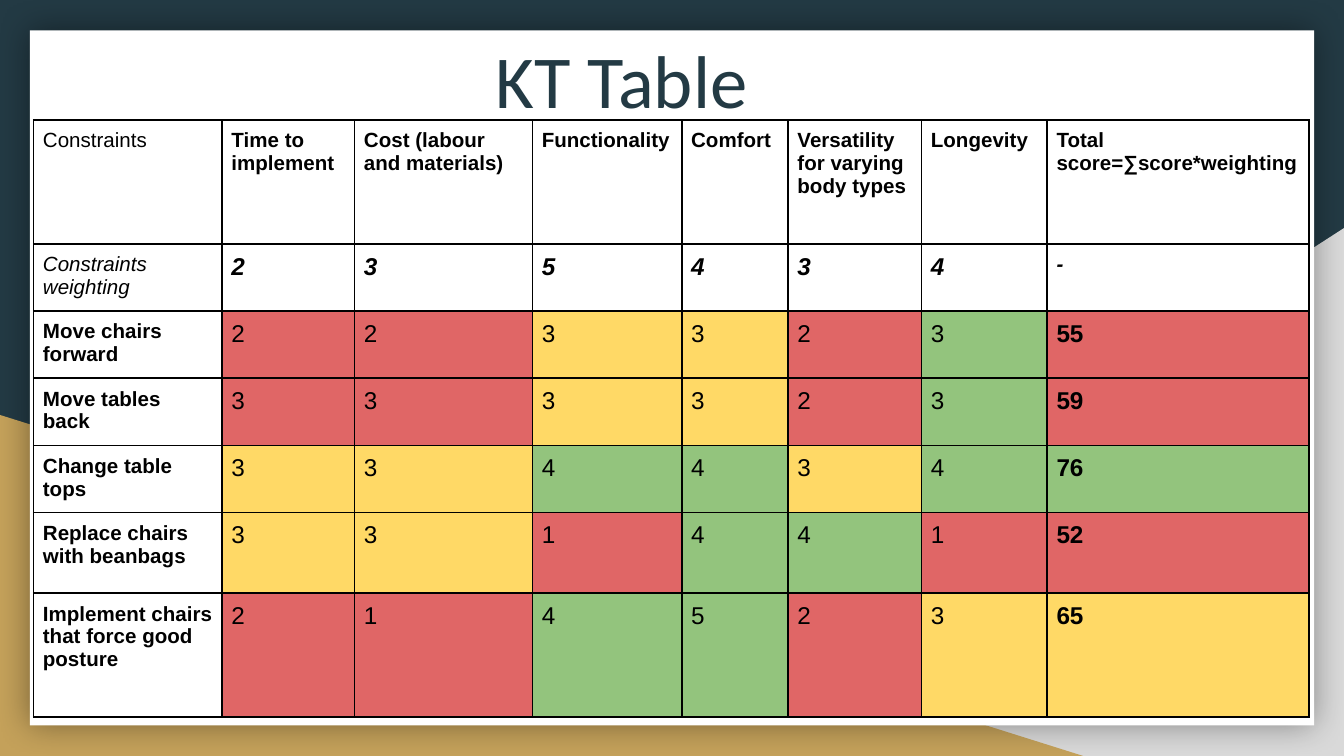
"""Build a slide with a colour-coded decision table of seating options."""
import pptx
import pptx.util
import pptx.dml.color
import pptx.enum.shapes
import pptx.oxml
import pptx.oxml.ns

Pt = pptx.util.Pt
RGBColor = pptx.dml.color.RGBColor
SHAPES = pptx.enum.shapes.MSO_SHAPE

NAVY = RGBColor(0x23, 0x3A, 0x44)
GREY = RGBColor(0xD9, 0xD9, 0xD9)
GOLD = RGBColor(0xC4, 0xA1, 0x5A)
WHITE = RGBColor(0xFF, 0xFF, 0xFF)
BLACK = RGBColor(0x00, 0x00, 0x00)
RED = RGBColor(0xE0, 0x66, 0x66)
YELLOW = RGBColor(0xFF, 0xD9, 0x66)
GREEN = RGBColor(0x93, 0xC4, 0x7D)
RATING_COLOURS = {"R": RED, "Y": YELLOW, "G": GREEN}

COLUMN_WIDTHS = [101, 71, 95.3, 80, 57, 71.5, 67.3, 140.4]
ROW_HEIGHTS = [66.4, 36, 36, 36, 36, 43.2, 66.4]
HEADINGS = ["Constraints", "Time to implement", "Cost (labour and materials)",
            "Functionality", "Comfort", "Versatility for varying body types",
            "Longevity", "Total score=∑score*weighting"]
WEIGHTINGS = ["Constraints weighting", "2", "3", "5", "4", "3", "4", "-"]
OPTIONS = [
    ("Move chairs forward", [2, 2, 3, 3, 2, 3, 55], "RRYYRGR"),
    ("Move tables back", [3, 3, 3, 3, 2, 3, 59], "RRYYRGR"),
    ("Change table tops", [3, 3, 4, 4, 3, 4, 76], "YYGGYGG"),
    ("Replace chairs with beanbags", [3, 3, 1, 4, 4, 1, 52], "YYRGGRR"),
    ("Implement chairs that force good posture", [2, 1, 4, 5, 2, 3, 65], "RRGGRYY"),
]


def add_panel(page, kind, left, top, width, height, colour):
    panel = page.shapes.add_shape(kind, Pt(left), Pt(top), Pt(width), Pt(height))
    panel.shadow.inherit = False
    panel.fill.solid()
    panel.fill.fore_color.rgb = colour
    panel.line.fill.background()
    return panel


def add_glow(panel):
    effects = panel._element.spPr.find(pptx.oxml.ns.qn("a:effectLst"))
    effects.append(pptx.oxml.parse_xml(
        f'<a:outerShdw {pptx.oxml.ns.nsdecls("a")} blurRad="{Pt(18)}" dist="0" dir="0" '
        'algn="ctr" rotWithShape="0"><a:srgbClr val="000000"><a:alpha val="40000"/>'
        '</a:srgbClr></a:outerShdw>'))


def style_font(font, name, size, colour, bold=False, italic=False):
    font.name = name
    font.size = Pt(size)
    font.color.rgb = colour
    font.bold = bold
    font.italic = italic


def add_borders(cell):
    properties = cell._tc.get_or_add_tcPr()
    for side in ("lnL", "lnR", "lnT", "lnB"):
        properties.append(pptx.oxml.parse_xml(
            f'<a:{side} {pptx.oxml.ns.nsdecls("a")} w="{Pt(1)}"><a:solidFill>'
            f'<a:srgbClr val="{BLACK}"/></a:solidFill></a:{side}>'))


def fill_cell(cell, text, size=11, bold=False, italic=False, colour=None):
    cell.margin_left = cell.margin_right = Pt(5)
    cell.margin_top = cell.margin_bottom = Pt(5)
    add_borders(cell)
    if colour is None:
        cell.fill.background()
    else:
        cell.fill.solid()
        cell.fill.fore_color.rgb = colour
    cell.text_frame.text = text
    span = cell.text_frame.paragraphs[0].runs[0]
    style_font(span.font, "Arial", size, BLACK, bold, italic)


def add_score_table(page):
    frame = page.shapes.add_table(
        len(ROW_HEIGHTS), len(COLUMN_WIDTHS), Pt(18), Pt(64.2),
        Pt(sum(COLUMN_WIDTHS)), Pt(sum(ROW_HEIGHTS)))
    table = frame.table
    table.first_row = table.horz_banding = False
    for column, width in zip(table.columns, COLUMN_WIDTHS):
        column.width = Pt(width)
    for row, height in zip(table.rows, ROW_HEIGHTS):
        row.height = Pt(height)
    last = len(COLUMN_WIDTHS) - 1
    for index, heading in enumerate(HEADINGS):
        fill_cell(table.cell(0, index), heading, bold=index > 0)
    for index, weighting in enumerate(WEIGHTINGS):
        size = 13 if 0 < index < last else 11
        fill_cell(table.cell(1, index), weighting, size, index > 0, italic=True)
    for row, (option, scores, ratings) in enumerate(OPTIONS, start=2):
        fill_cell(table.cell(row, 0), option, bold=True)
        for index, (score, rating) in enumerate(zip(scores, ratings), start=1):
            fill_cell(table.cell(row, index), str(score), 13, index == last,
                      colour=RATING_COLOURS[rating])


def add_title(page, text):
    box = page.shapes.add_textbox(Pt(258.5), Pt(10.8), Pt(533.5), Pt(63.4))
    frame = box.text_frame
    frame.word_wrap = True
    frame.margin_left = frame.margin_right = Pt(7.2)
    frame.margin_top = frame.margin_bottom = Pt(7.2)
    frame.text = text
    style_font(frame.paragraphs[0].runs[0].font, "Calibri", 40, NAVY)


def main():
    deck = pptx.Presentation()
    deck.slide_width = Pt(720)
    deck.slide_height = Pt(405)
    page = deck.slides.add_slide(deck.slide_layouts[6])
    page.background.fill.solid()
    page.background.fill.fore_color.rgb = NAVY
    corner = add_panel(page, SHAPES.RIGHT_TRIANGLE, 282, 122.2, 438, 282.8, GREY)
    corner._element.spPr.xfrm.set("flipH", "1")
    add_panel(page, SHAPES.RIGHT_TRIANGLE, 0, 222.3, 580.3, 182.7, GOLD)
    add_glow(add_panel(page, SHAPES.RECTANGLE, 16, 16.3, 688, 372.4, WHITE))
    add_score_table(page)
    add_title(page, "KT Table")
    deck.save("out.pptx")


if __name__ == "__main__":
    main()
